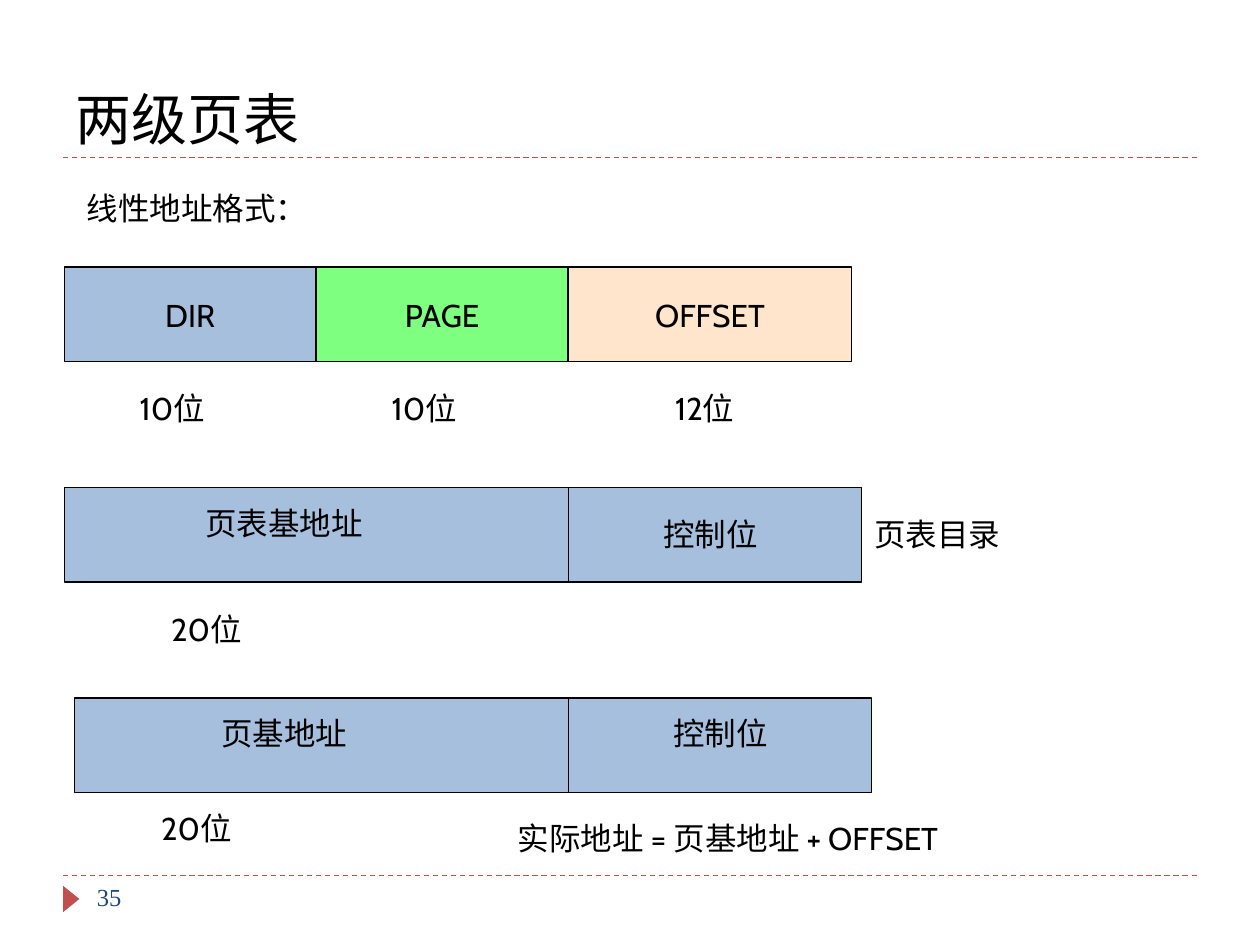
from dataclasses import dataclass

from lxml import etree
from pptx import Presentation
from pptx import util as u
from pptx.dml.color import RGBColor
from pptx.enum import dml, shapes, text
from pptx.oxml.ns import qn

PX = 9144  # EMU per px, 100 px to the inch


@dataclass(frozen=True)
class Theme:
    ink: str = "000000"
    accent: str = "C0504D"
    number: str = "1F497D"
    blue: str = "4F81BD"
    green: str = "00FF00"
    peach: str = "FFCC99"
    font: str = "Cabin"
    number_font: str = "Times New Roman"
    title_size: int = 32
    body_size: int = 18
    number_size: int = 14
    line_width: float = 0.75


THEME = Theme()


def px(*lengths):
    return [u.Emu(length * PX) for length in lengths]


def write(shape, content, *, size=THEME.body_size, font=THEME.font, color=THEME.ink,
          align=text.PP_ALIGN.LEFT, anchor=text.MSO_ANCHOR.TOP, wrap=True):
    frame = shape.text_frame
    frame.word_wrap = wrap
    frame.vertical_anchor = anchor
    paragraph = frame.paragraphs[0]
    paragraph.alignment = align
    run = paragraph.add_run()
    run.text = content
    run.font.size = u.Pt(size)
    run.font.name = font
    run.font.color.rgb = RGBColor.from_string(color)


def add_label(slide, content, left, top, width, height=50, **text_format):
    box = slide.shapes.add_textbox(*px(left, top, width, height))
    write(box, content, **text_format)


def add_line(slide, x1, y1, x2, y2, color=THEME.ink, dashed=False):
    line = slide.shapes.add_connector(shapes.MSO_CONNECTOR.STRAIGHT, *px(x1, y1, x2, y2))
    line.line.color.rgb = RGBColor.from_string(color)
    line.line.width = u.Pt(THEME.line_width)
    if dashed:
        line.line.dash_style = dml.MSO_LINE.DASH
    etree.SubElement(line._element.spPr, qn("a:effectLst"))


def add_field(slide, left, top, width, color, content=None, height=75):
    """Half-transparent outlined rectangle, with an optional centred name."""
    field = slide.shapes.add_shape(shapes.MSO_SHAPE.RECTANGLE, *px(left, top, width, height))
    field.shadow.inherit = False
    field.fill.solid()
    field.fill.fore_color.rgb = RGBColor.from_string(color)
    fill_color = field._element.spPr.find(qn("a:solidFill"))[0]
    etree.SubElement(fill_color, qn("a:alpha"), val="50000")
    field.line.color.rgb = RGBColor.from_string(THEME.ink)
    field.line.width = u.Pt(THEME.line_width)
    if content:
        write(field, content, align=text.PP_ALIGN.CENTER,
              anchor=text.MSO_ANCHOR.MIDDLE, wrap=False)


def add_entry(slide, left, top, address, control_left, control_top):
    """Table entry: base address and control bits, split by a line."""
    add_field(slide, left, top, 633, THEME.blue)
    add_line(slide, 451, top, 451, top + 75)
    add_label(slide, address, 84, top + 8, 283, align=text.PP_ALIGN.CENTER)
    add_label(slide, "控制位", control_left, control_top, 192, align=text.PP_ALIGN.CENTER)


def add_frame(slide):
    """Title, dashed rules and page number."""
    for y in (125, 695):
        add_line(slide, 50, y, 950, y, THEME.accent, dashed=True)
    marker = slide.shapes.add_shape(shapes.MSO_SHAPE.ISOSCELES_TRIANGLE, *px(46, 707, 21, 13))
    marker.rotation = 90
    marker.shadow.inherit = False
    marker.fill.solid()
    marker.fill.fore_color.rgb = RGBColor.from_string(THEME.accent)
    marker.line.fill.background()
    add_label(slide, "两级页表", 50, 17, 900, 108,
              size=THEME.title_size, anchor=text.MSO_ANCHOR.BOTTOM)
    add_label(slide, "35", 67, 695, 217, 40, size=THEME.number_size,
              font=THEME.number_font, color=THEME.number)


def add_linear_address(slide):
    add_label(slide, "线性地址格式：", 59, 145, 292)
    left = 51
    for name, bits, width, indent, color in (
        ("DIR", "10位", 200, 50, THEME.blue),
        ("PAGE", "10位", 200, 50, THEME.green),
        ("OFFSET", "12位", 225, 75, THEME.peach),
    ):
        add_field(slide, left, 212, width, color, name)
        add_label(slide, bits, left + indent, 304, 92)
        left += width


def main():
    presentation = Presentation()
    presentation.slide_width, presentation.slide_height = px(1000, 750)
    slide = presentation.slides.add_slide(presentation.slide_layouts[6])

    add_frame(slide)
    add_linear_address(slide)

    # Page directory entry
    add_entry(slide, 51, 387, "页表基地址", 468, 404)
    add_label(slide, "20位", 126, 479, 92)
    add_label(slide, "页表目录", 684, 404, 292)

    # Page table entry and resulting address
    add_entry(slide, 59, 554, "页基地址", 476, 562)
    add_label(slide, "20位", 118, 637, 92)
    add_label(slide, "实际地址 = 页基地址 + OFFSET", 401, 645, 483)

    presentation.save("out.pptx")


if __name__ == "__main__":
    main()
